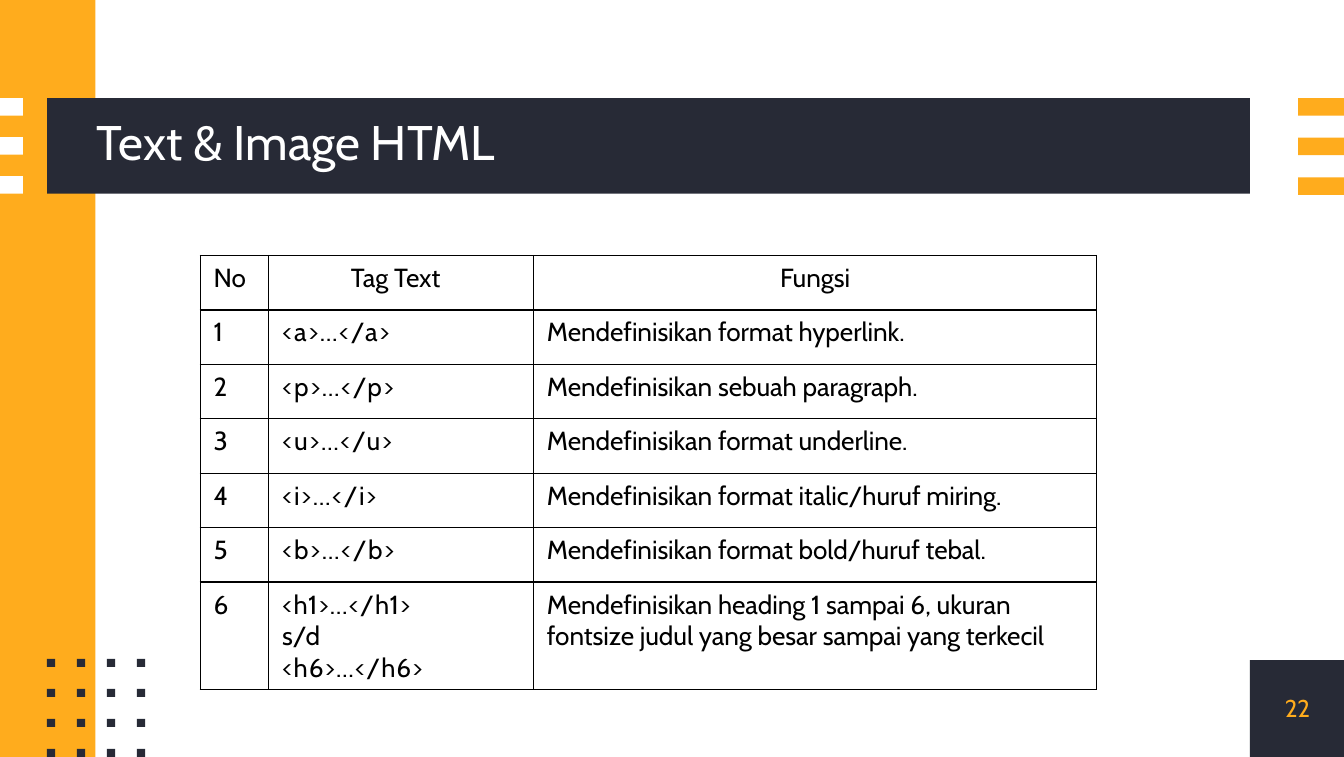
"""Build a slide with a table of HTML text tags and their functions."""
import itertools

import pptx
import pptx.dml.color
import pptx.enum.shapes
import pptx.enum.text
import pptx.oxml
import pptx.oxml.ns
import pptx.util

Inches = pptx.util.Inches
Pt = pptx.util.Pt
RGBColor = pptx.dml.color.RGBColor
ALIGN = pptx.enum.text.PP_ALIGN

DARK = RGBColor(0x27, 0x2A, 0x36)
ORANGE = RGBColor(0xFF, 0xAC, 0x1D)
WHITE = RGBColor(0xFF, 0xFF, 0xFF)
BLACK = RGBColor(0, 0, 0)

HEADER = ["No", "Tag Text", "Fungsi"]
TAGS = [
    ("<a>…</a>", "Mendefinisikan format hyperlink."),
    ("<p>…</p>", "Mendefinisikan sebuah paragraph."),
    ("<u>…</u>", "Mendefinisikan format underline."),
    ("<i>…</i>", "Mendefinisikan format italic/huruf miring."),
    ("<b>…</b>", "Mendefinisikan format bold/huruf tebal."),
    ("<h1>…</h1>\ns/d\n<h6>…</h6>",
     "Mendefinisikan heading 1 sampai 6, ukuran\n"
     "fontsize judul yang besar sampai yang terkecil"),
]


class Deck:
    font = "Cabin"

    def __init__(self, prs):
        self.s = prs.slides.add_slide(prs.slide_layouts[5])

    def style(self, p, size, color, spacing=-0.05, before=0, align=ALIGN.LEFT):
        p.alignment = align
        p.space_before = Pt(before)
        for r in p.runs:
            r.font.name = self.font
            r.font.size = Pt(size)
            r.font.color.rgb = color
            r.font._element.set("spc", str(round(spacing * 100)))

    def paint(self, sp, color):
        sp.shadow.inherit = False
        sp.fill.solid()
        sp.fill.fore_color.rgb = color
        sp.line.fill.background()

    def rect(self, x, y, w, h, color):
        self.paint(self.s.shapes.add_shape(
            pptx.enum.shapes.MSO_SHAPE.RECTANGLE,
            Inches(x), Inches(y), Inches(w), Inches(h)), color)

    def blocks(self, corners, w, h, color):
        builder = None
        for x, y in corners:
            left, top = Inches(x), Inches(y)
            right, bottom = left + Inches(w), top + Inches(h)
            if builder is None:
                builder = self.s.shapes.build_freeform(left, top)
            else:
                builder.move_to(left, top)
            builder.add_line_segments(
                [(right, top), (right, bottom), (left, bottom)])
        self.paint(builder.convert_to_shape(), color)

    def frame(self, sp, text):
        tf = sp.text_frame
        tf.text = text
        tf.word_wrap = True
        tf.vertical_anchor = pptx.enum.text.MSO_ANCHOR.TOP
        tf.margin_left = tf.margin_right = tf.margin_top = tf.margin_bottom = 0
        return tf

    def title(self, text, x, y, w, h):
        sp = self.s.shapes.title
        sp.left, sp.top, sp.width, sp.height = map(Inches, (x, y, w, h))
        tf = self.frame(sp, text)
        tf.margin_left = tf.margin_top = Inches(0.01)
        self.style(tf.paragraphs[0], 26, WHITE, before=0.9)
        self.s.shapes.element.append(sp.element)

    def number(self, text, x, y, w, h):
        sp = self.s.shapes.add_textbox(Inches(x), Inches(y), Inches(w), Inches(h))
        tf = self.frame(sp, text)
        tf.margin_left = Inches(0.06)
        p = tf.paragraphs[0]
        p.line_spacing = Pt(15.3)
        self.style(p, 13, ORANGE)

    def cell(self, cell, text, spacing, indent=0.1, align=ALIGN.LEFT):
        cell.margin_left, cell.margin_top = Inches(indent), Inches(0.05)
        cell.margin_right = cell.margin_bottom = 0
        cell.text_frame.text = text
        for i, p in enumerate(cell.text_frame.paragraphs):
            tag = p.text.startswith("<")
            self.style(p, 14, BLACK, spacing if tag else -0.05,
                       0 if i else 3.4, align)
        tcPr = cell._tc.get_or_add_tcPr()
        for side in "LRTB":
            tcPr.append(pptx.oxml.parse_xml(
                f'<a:ln{side} {pptx.oxml.ns.nsdecls("a")} w="{Pt(0.75)}">'
                f'<a:solidFill><a:srgbClr val="{BLACK}"/></a:solidFill>'
                f'</a:ln{side}>'))
        cell.fill.background()

    def table(self, x, y, widths, header, tags):
        last, total = Inches(0.8), Inches(3.23)
        tbl = self.s.shapes.add_table(
            len(tags) + 1, len(header), Inches(x), Inches(y),
            Inches(sum(widths)), total).table
        tbl.first_row = tbl.horz_banding = False
        for col, w in zip(tbl.columns, widths):
            col.width = Inches(w)
        for row in tbl.rows:
            row.height = (total - last) // len(tags)
        tbl.rows[len(tags)].height = last
        layouts = [(0.1, ALIGN.LEFT), (0.61, ALIGN.LEFT), (0, ALIGN.CENTER)]
        for c, (text, (indent, align)) in enumerate(zip(header, layouts)):
            self.cell(tbl.cell(0, c), text, 0, indent, align)
        for n, (tag, use) in enumerate(tags, 1):
            for c, text in enumerate((str(n), tag, use)):
                self.cell(tbl.cell(n, c), text, 0.5 if "\n" in tag else 0.7)


def main():
    prs = pptx.Presentation()
    prs.slide_width, prs.slide_height = Inches(10), Inches(5.63)
    deck = Deck(prs)
    deck.rect(9.3, 4.91, 0.7, 0.72, DARK)
    deck.rect(0, 0, 0.71, 5.63, ORANGE)
    deck.rect(0.35, 0.73, 8.95, 0.71, DARK)
    deck.blocks([(0, 0.73 + i * 0.29) for i in range(3)], 0.17, 0.13, WHITE)
    step = 0.67 / 3
    deck.blocks([(0.35 + col * step, 4.9 + row * step)
                 for col, row in itertools.product(range(4), repeat=2)],
                0.06, 0.06, DARK)
    for i in range(3):
        deck.rect(9.66, 0.73 + i * 0.295, 0.34, 0.13, ORANGE)
    deck.title("Text & Image HTML", 0.71, 0.82, 3.26, 0.46)
    deck.number("22", 9.5, 5.16, 0.3, 0.23)
    deck.table(1.49, 1.9, [0.51, 1.97, 4.19], HEADER, TAGS)
    prs.save("out.pptx")


if __name__ == "__main__":
    main()
